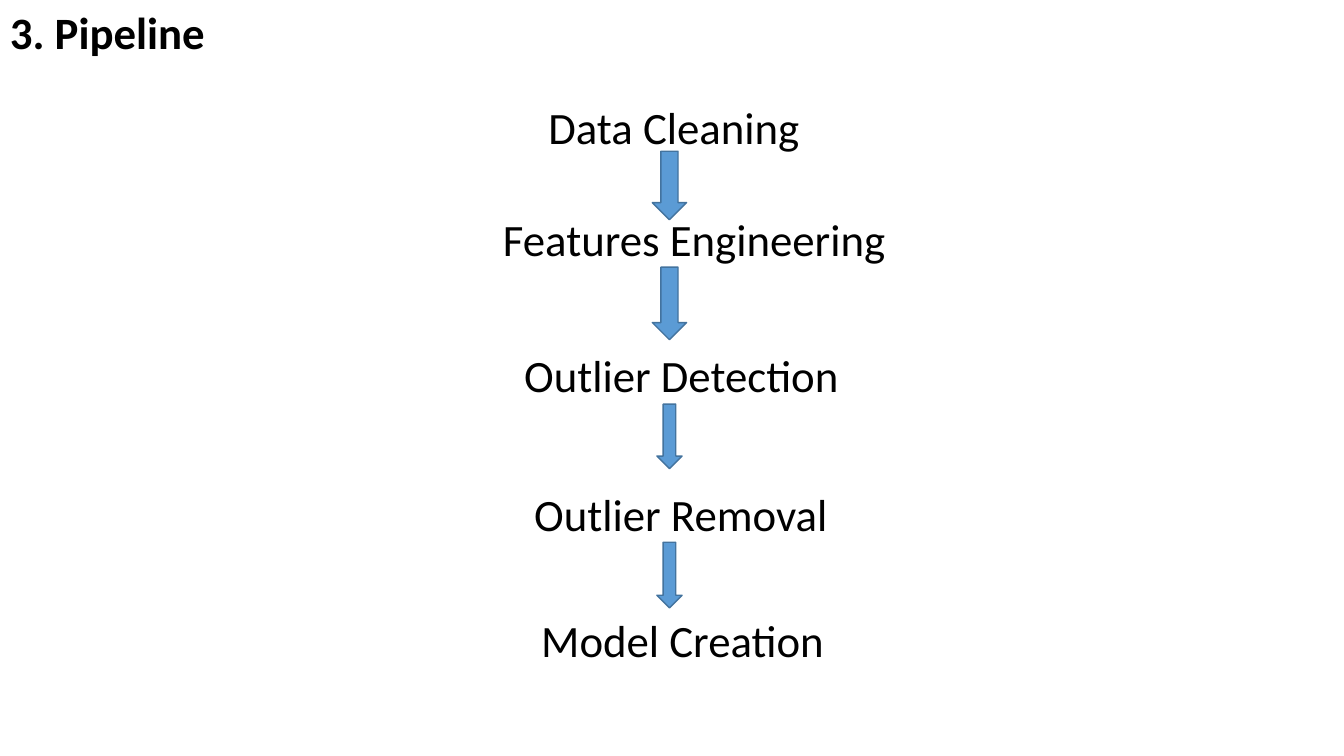
from dataclasses import dataclass
from pptx import Presentation
from pptx.dml.color import RGBColor
from pptx.enum.shapes import MSO_SHAPE as Shape
from pptx.enum.text import MSO_ANCHOR as Anchor
from pptx.util import Inches, Pt

# Content: step, box left, top, width, height, and left edge of its words
TITLE = "3. Pipeline"
STEPS = [
    ("Data Cleaning", 0.16, 0.94, 12.82, 0.64, 5.44),
    ("Features Engineering", 0.29, 2.05, 12.92, 0.94, 4.99),
    ("Outlier Detection", 0.29, 3.4, 13.04, 0.94, 5.2),
    ("Outlier Removal", 0.29, 4.78, 12.92, 0.94, 5.3),
    ("Model Creation", 0.16, 6.03, 13.17, 0.94, 5.37),
]
# Arrows between steps: top, width, height
ARROWS = [(1.5, 0.34, 0.68), (2.65, 0.34, 0.72),
          (4.01, 0.25, 0.64), (5.38, 0.25, 0.65)]
ARROW_CENTRE = 6.64
INSET = 0.1


@dataclass(frozen=True)
class Theme:
    font: str = "Calibri"
    size: int = 32
    ink: str = "000000"
    arrow: str = "5B9BD5"
    edge: str = "43739E"


THEME = Theme()


def rgb(code):
    return RGBColor.from_string(code)


def add_text(s, text, x, y, w, h, *, indent=0, bold=False):
    tf = s.shapes.add_textbox(*map(Inches, (x, y, w, h))).text_frame
    tf.word_wrap = True
    tf.vertical_anchor = Anchor.TOP
    p = tf.paragraphs[0]
    p._p.get_or_add_pPr().set("marL", str(Inches(indent)))
    r = p.add_run()
    r.text = text
    r.font.name, r.font.size, r.font.bold = THEME.font, Pt(THEME.size), bold
    r.font.color.rgb = rgb(THEME.ink)


def add_arrow(s, y, w, h):
    x = ARROW_CENTRE - w / 2
    sp = s.shapes.add_shape(Shape.DOWN_ARROW, *map(Inches, (x, y, w, h)))
    sp.shadow.inherit = False
    sp.fill.solid()
    sp.fill.fore_color.rgb = rgb(THEME.arrow)
    sp.line.color.rgb = rgb(THEME.edge)
    sp.line.width = Pt(1)


def main():
    prs = Presentation()
    prs.slide_width, prs.slide_height = Inches(13.33), Inches(7.5)
    s = prs.slides.add_slide(prs.slide_layouts[6])

    # Title
    add_text(s, TITLE, 0, 0, 12.99, 0.94, bold=True)

    # Steps, indented so the words sit over the arrows
    for text, x, y, w, h, start in STEPS:
        add_text(s, text, x, y, w, h, indent=start - x - INSET)

    # Arrows on one centre line
    for arrow in ARROWS:
        add_arrow(s, *arrow)

    prs.save("out.pptx")


if __name__ == "__main__":
    main()
